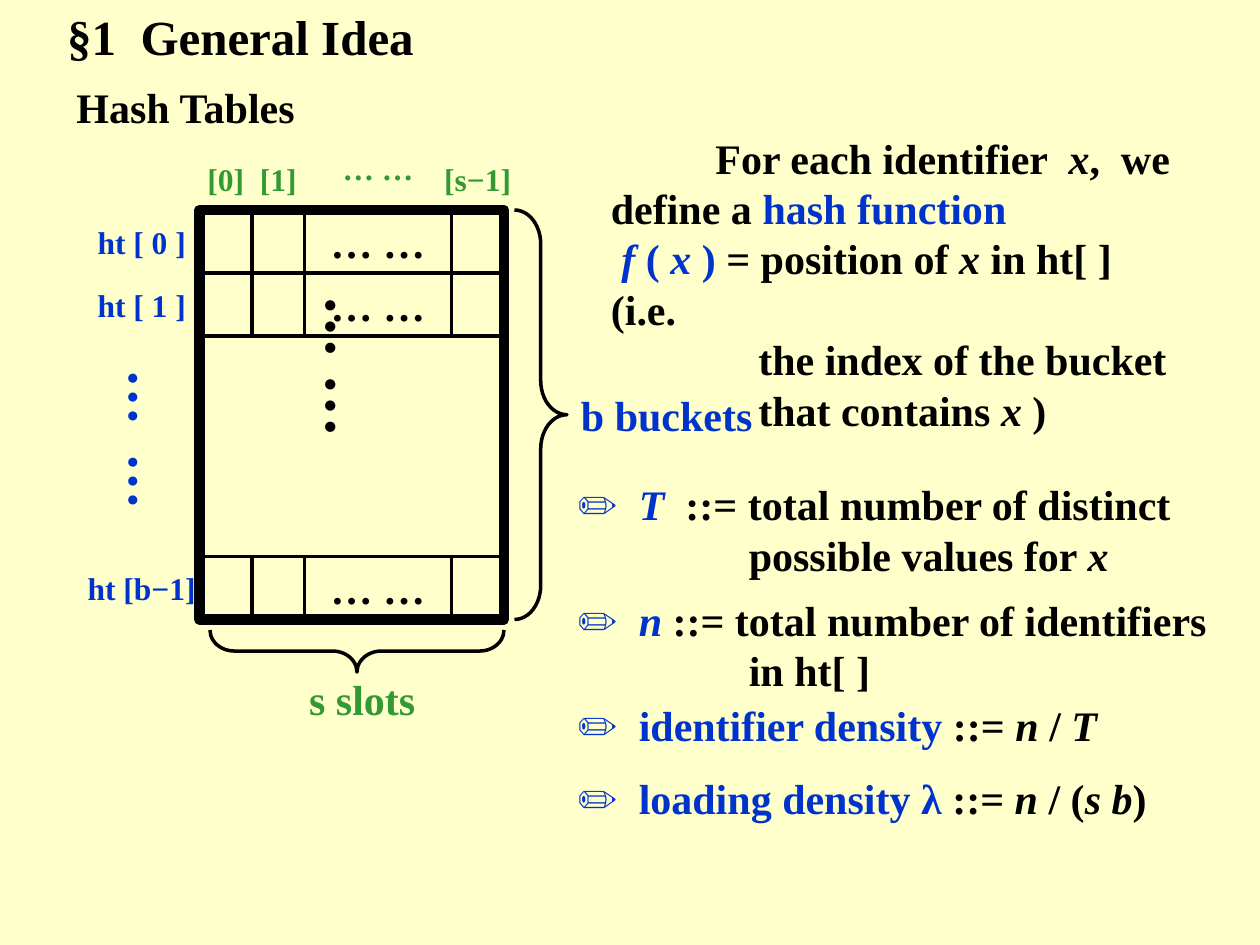
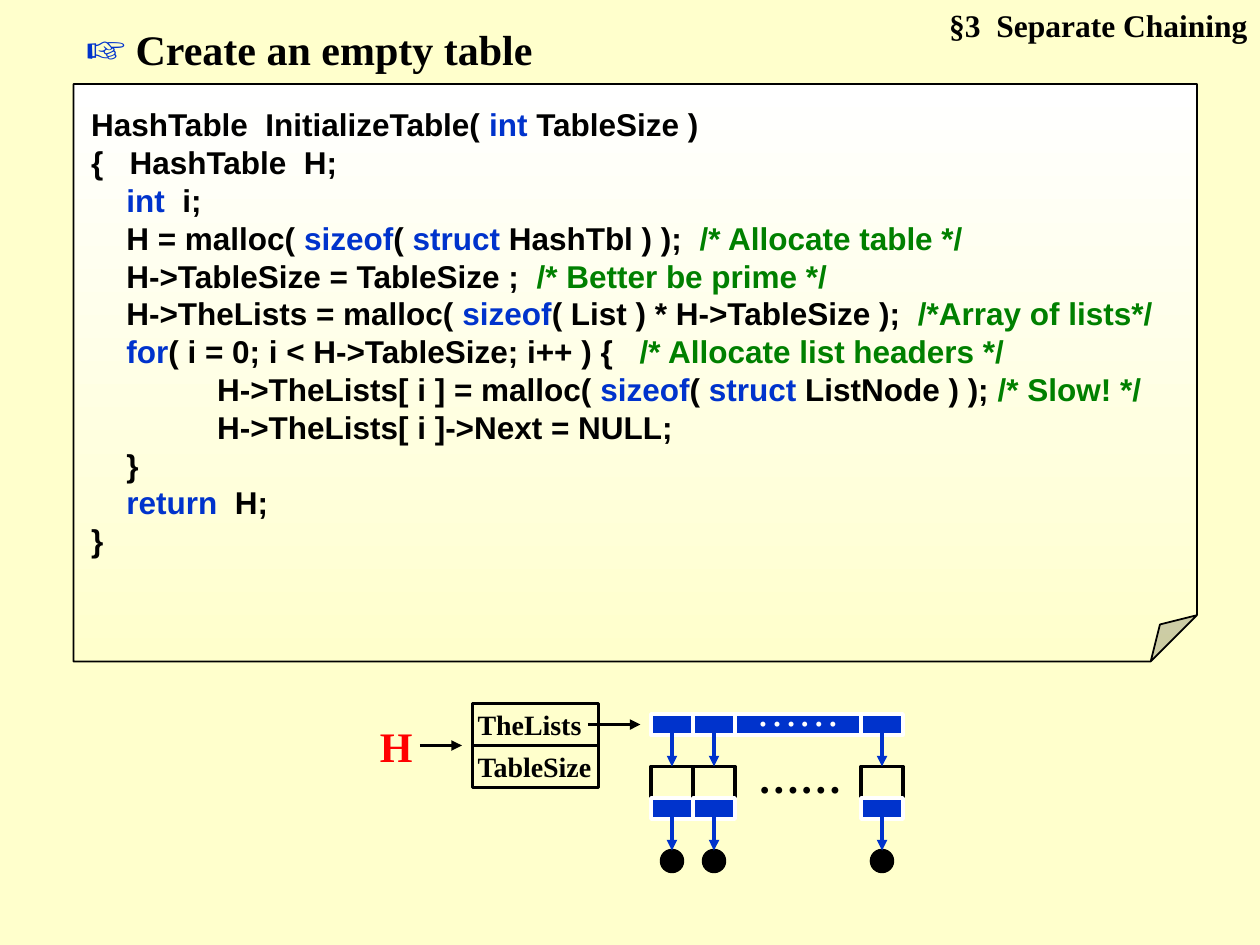
from typing import NamedTuple, Optional

import pptx
import pptx.dml.color
import pptx.enum.dml
import pptx.enum.shapes
import pptx.enum.text
import pptx.oxml
import pptx.oxml.ns
import pptx.util

RGBColor = pptx.dml.color.RGBColor
SHAPE = pptx.enum.shapes.MSO_SHAPE
ALIGN = pptx.enum.text.PP_ALIGN
ANCHOR = pptx.enum.text.MSO_ANCHOR
Inches, Pt = pptx.util.Inches, pptx.util.Pt

CREAM = RGBColor(0xFF, 0xFF, 0xCC)
WHITE = RGBColor(0xFF, 0xFF, 0xFF)
BLACK = RGBColor(0, 0, 0)
BLUE = RGBColor(0, 0x33, 0xCC)
GREEN = RGBColor(0x33, 0x99, 0x33)
COMMENT_GREEN = RGBColor(0, 0x80, 0)
RED = RGBColor(0xFF, 0, 0)

SERIF, SANS = "Times New Roman", "Arial"
CELL = Inches(1) / 12  # grid: 120 columns by 90 rows
LINE_HEIGHT = 1.2
INSETS = (0.1, 0.05, 0.1, 0.05)
XMLNS = pptx.oxml.ns.nsdecls("a")


class Box(NamedTuple):
    """Left, top, width and height in grid cells."""
    x: float
    y: float
    w: float
    h: float

    def emu(self) -> list[int]:
        return [round(v * CELL) for v in self]


class Run(NamedTuple):
    text: str
    color: RGBColor = BLACK
    italic: bool = False
    size: Optional[float] = None


class Para(NamedTuple):
    """Runs with left margin and first-line indent in inches."""
    runs: list[Run]
    left: float = 0
    first: float = 0


class Style(NamedTuple):
    size: float
    font: str = SERIF
    bold: bool = True
    align: ALIGN = ALIGN.LEFT
    anchor: ANCHOR = ANCHOR.TOP
    wrap: bool = True
    insets: tuple = INSETS
    vertical: bool = False


BODY = Style(24)
LABEL = Style(18, align=ALIGN.CENTER, anchor=ANCHOR.MIDDLE, wrap=False)
BIG_LABEL = LABEL._replace(size=24)


def write(tf, paras: list[Para], style: Style) -> None:
    tf.auto_size = pptx.enum.text.MSO_AUTO_SIZE.NONE
    tf.word_wrap = style.wrap
    tf.vertical_anchor = style.anchor
    (tf.margin_left, tf.margin_top,
     tf.margin_right, tf.margin_bottom) = map(Inches, style.insets)
    if style.vertical:
        tf._txBody.bodyPr.set("vert", "eaVert")
    for i, para in enumerate(paras):
        p = tf.add_paragraph() if i else tf.paragraphs[0]
        p.alignment = style.align
        p.space_before = Pt(0)
        if not style.vertical:
            tallest = max(run.size or style.size for run in para.runs)
            p.line_spacing = Pt(tallest * LINE_HEIGHT)
        if para.left or para.first:
            pPr = p._p.get_or_add_pPr()
            pPr.set("marL", str(Inches(para.left)))
            pPr.set("indent", str(Inches(para.first)))
        for run in para.runs:
            r = p.add_run()
            r.text = run.text
            r.font.name = style.font
            r.font.size = Pt(run.size or style.size)
            r.font.bold = style.bold
            r.font.italic = run.italic
            r.font.color.rgb = run.color


def text(s, box: Box, paras: list[Para], style: Style = BODY) -> None:
    write(s.shapes.add_textbox(*box.emu()).text_frame, paras, style)


def label(s, box: Box, words: str, color: RGBColor = BLACK, style: Style = LABEL) -> None:
    text(s, box, [Para([Run(words, color)])], style)


def title(s, box: Box, runs: list[Run], style: Style) -> None:
    sp = s.shapes.title
    sp.left, sp.top, sp.width, sp.height = box.emu()
    write(sp.text_frame, [Para(runs)], style)


def shape(s, kind: SHAPE, box: Box, line: RGBColor = BLACK, width: float = 2,
          fill: Optional[RGBColor] = None):
    sp = s.shapes.add_shape(kind, *box.emu())
    sp.shadow.inherit = False
    sp.line.color.rgb = line
    sp.line.width = Pt(width)
    if fill is None:
        sp.fill.background()
    else:
        sp.fill.solid()
        sp.fill.fore_color.rgb = fill
    return sp


def arrow(s, x1: float, y1: float, x2: float, y2: float,
          color: RGBColor = BLACK, target=None) -> None:
    """Arrow between grid points, joined to the top of target if given."""
    ends = [round(v * CELL) for v in (x1, y1, x2, y2)]
    c = s.shapes.add_connector(pptx.enum.shapes.MSO_CONNECTOR.STRAIGHT, *ends)
    c.line.color.rgb = color
    c.line.width = Pt(2)
    c.line._get_or_add_ln().append(
        pptx.oxml.parse_xml(f'<a:tailEnd {XMLNS} type="triangle"/>'))
    c._element.spPr.append(pptx.oxml.parse_xml(f"<a:effectLst {XMLNS}/>"))
    if target is not None:
        c.end_connect(target, 0)


# ---- Hash tables ----
SLOTS = [(19, 5, "[0]"), (24, 5, "[1]"), (29, 14, "… …"), (43, 5, "[s−1]")]
BUCKETS = [(20, "ht [ 0 ]"), (26, "ht [ 1 ]"), (53, "ht [b−1]")]

HASH_FUNCTION = [
    Para([Run("For each identifier  "), Run("x", italic=True),
          Run(",  we define a "), Run("hash function", BLUE)], first=0.83),
    Para([Run(" "), Run("f", BLUE, True), Run(" ( ", BLUE), Run("x", BLUE, True),
          Run(" )", BLUE), Run(" = position of "), Run("x", italic=True),
          Run(" in ht[ ] (i.e.")]),
    Para([Run("the index of the bucket")], left=1.17),
    Para([Run("that contains "), Run("x", italic=True), Run(" )")], left=1.17),
]

DEFINITIONS = [
    (45, 10.8, [Run("✏  ", BLUE), Run("T", BLUE, True),
                Run("  ::= total number of distinct possible values for "),
                Run("x", italic=True)]),
    (56, 10.8, [Run("✏  ", BLUE), Run("n", BLUE, True),
                Run(" ::= total number of identifiers in ht[ ]")]),
    (66, 6, [Run("✏  identifier density", BLUE), Run(" ::= "),
             Run("n ", italic=True), Run("/ "), Run("T", italic=True)]),
    (73, 6, [Run("✏  loading density λ", BLUE), Run(" ::= "), Run("n ", italic=True),
             Run("/ ("), Run("s b", italic=True), Run(")")]),
]


def hash_table_diagram(s) -> None:
    for x, w, name in SLOTS:
        label(s, Box(x, 14 if "…" in name else 15, w, 4), name, GREEN)
    for y, name in BUCKETS:
        for x, w, slot in SLOTS:
            sp = shape(s, SHAPE.RECTANGLE, Box(x, y, w, 6))
            if "…" in slot:
                write(sp.text_frame, [Para([Run(slot)])], BIG_LABEL)
        label(s, Box(8, y + 1, 11, 4), name, BLUE)
    shape(s, SHAPE.RECTANGLE, Box(19, 20, 29, 39), width=6)
    label(s, Box(31, 27, 5, 18), "… …", style=LABEL._replace(size=36, vertical=True))
    label(s, Box(12, 34, 5, 18), "…  …", BLUE, LABEL._replace(size=32, vertical=True))
    bucket_brace = shape(s, SHAPE.RIGHT_BRACE, Box(49, 20, 5, 39))
    bucket_brace.adjustments[0] = 0.65
    label(s, Box(54, 36, 19, 7), "b buckets", BLUE, BIG_LABEL)
    slot_brace = shape(s, SHAPE.LEFT_BRACE, Box(32, 48, 4, 28))
    slot_brace.adjustments[0] = 0.58
    slot_brace.rotation = 270
    label(s, Box(25, 64, 19, 5), "s slots", GREEN, BIG_LABEL)


def hash_tables_slide(s) -> None:
    title(s, Box(5.2, 0, 44, 6.8), [Run("§1  General Idea")], Style(28))
    label(s, Box(6.1, 7.2, 40, 6), "Hash Tables", style=BODY)
    hash_table_diagram(s)
    text(s, Box(57, 12, 57, 25.2), HASH_FUNCTION)
    for y, h, runs in DEFINITIONS:
        text(s, Box(55, y, 61, h), [Para(runs, 1.36, -1.36)],
             BODY._replace(insets=(0, 0.05, 0, 0.05)))


# ---- Separate chaining ----
KEYWORDS = {"int", "sizeof", "struct", "for", "return"}
BLOCK, LOOP = 0.28, 1  # code indents in inches
CODE = [
    (0, "HashTable  InitializeTable( |int| TableSize )"),
    (0, "{   HashTable  H;"),
    (BLOCK, "int|  i;"),
    (BLOCK, "H = malloc( |sizeof|( |struct| HashTbl ) );  |/* Allocate table */"),
    (BLOCK, "H->TableSize = TableSize ;  |/* Better be prime */"),
    (BLOCK, "H->TheLists = malloc( |sizeof|( List ) * H->TableSize );  |/*Array of lists*/"),
    (BLOCK, "for|( i = 0; i < H->TableSize; i++ ) {   |/* Allocate list headers */"),
    (LOOP, "H->TheLists[ i ] = malloc( |sizeof|( |struct| ListNode ) ); |/* Slow! */"),
    (LOOP, "H->TheLists[ i ]->Next = NULL;"),
    (BLOCK, "}"),
    (BLOCK, "return|  H;"),
    (0, "}"),
]


def code_run(piece: str) -> Run:
    if piece in KEYWORDS:
        return Run(piece, BLUE)
    return Run(piece, COMMENT_GREEN if piece.startswith("/*") else BLACK)


def fold_corner(sp, share: float) -> None:
    """Set the preset by XML, as the library misspells foldedCorner."""
    geometry = sp._element.spPr.find(pptx.oxml.ns.qn("a:prstGeom"))
    geometry.set("prst", "foldedCorner")
    geometry.get_or_add_avLst().append(pptx.oxml.parse_xml(
        f'<a:gd {XMLNS} name="adj" fmla="val {round(share * 100000)}"/>'))


def code_page(s) -> None:
    page = shape(s, SHAPE.RECTANGLE, Box(7, 8, 107, 55), width=1)
    fold_corner(page, 0.08)
    page.fill.gradient()
    page.fill.gradient_angle = 270
    for stop, color in zip(page.fill.gradient_stops, (WHITE, CREAM)):
        stop.color.rgb = color
    paras = [Para([code_run(piece) for piece in line.split("|")], left)
             for left, line in CODE]
    write(page.text_frame, paras, Style(18, SANS, insets=(0.14, 0.17, 0.1, 0.05)))


def blue_cell(s, x: float, y: float, w: float = 4):
    return shape(s, SHAPE.RECTANGLE, Box(x, y, w, 2), WHITE, fill=BLUE)


def chain(s, x: float) -> None:
    """Array cell pointing to a list header that ends in a null dot."""
    blue_cell(s, x, 68)
    header = shape(s, SHAPE.RECTANGLE, Box(x, 73, 4, 3))
    blue_cell(s, x, 76)
    null = shape(s, SHAPE.OVAL, Box(x + 1, 81, 2, 2), fill=BLACK)
    arrow(s, x + 2, 69, x + 2, 73, BLUE, header)
    arrow(s, x + 2, 77, x + 2, 81, BLUE, null)


def chaining_diagram(s) -> None:
    label(s, Box(35, 68, 6, 6), "H", RED, BODY)
    arrow(s, 40, 71, 44, 71)
    for y, field in ((67, "TheLists"), (71, "TableSize")):
        sp = shape(s, SHAPE.RECTANGLE, Box(45, y, 12, 4))
        write(sp.text_frame, [Para([Run(field)])],
              Style(16, anchor=ANCHOR.MIDDLE, wrap=False, insets=(0.04, 0.05, 0.1, 0.05)))
    arrow(s, 56, 69, 61, 69)
    for x in (62, 66, 82):
        chain(s, x)
    write(blue_cell(s, 70, 68, 12).text_frame, [Para([Run("……", WHITE)])],
          BIG_LABEL._replace(bold=False, insets=(0.1, 0.05, 0.1, 0.29)))
    label(s, Box(71, 71, 11, 6), "……", style=BODY)


def separate_chaining_slide(s) -> None:
    code_page(s)
    label(s, Box(86, 0, 34, 4.8), "§3  Separate Chaining",
          style=Style(18, align=ALIGN.RIGHT))
    title(s, Box(7, 1, 61, 6.8),
          [Run("☞", BLUE, size=28), Run(" Create an empty table")], BODY)
    chaining_diagram(s)


def main() -> None:
    prs = pptx.Presentation()
    prs.slide_width, prs.slide_height = Inches(10), Inches(7.5)
    background = prs.slide_master.background.fill
    background.solid()
    background.fore_color.rgb = CREAM
    for build in (hash_tables_slide, separate_chaining_slide):
        build(prs.slides.add_slide(prs.slide_layouts[5]))
    prs.save("out.pptx")


if __name__ == "__main__":
    main()
